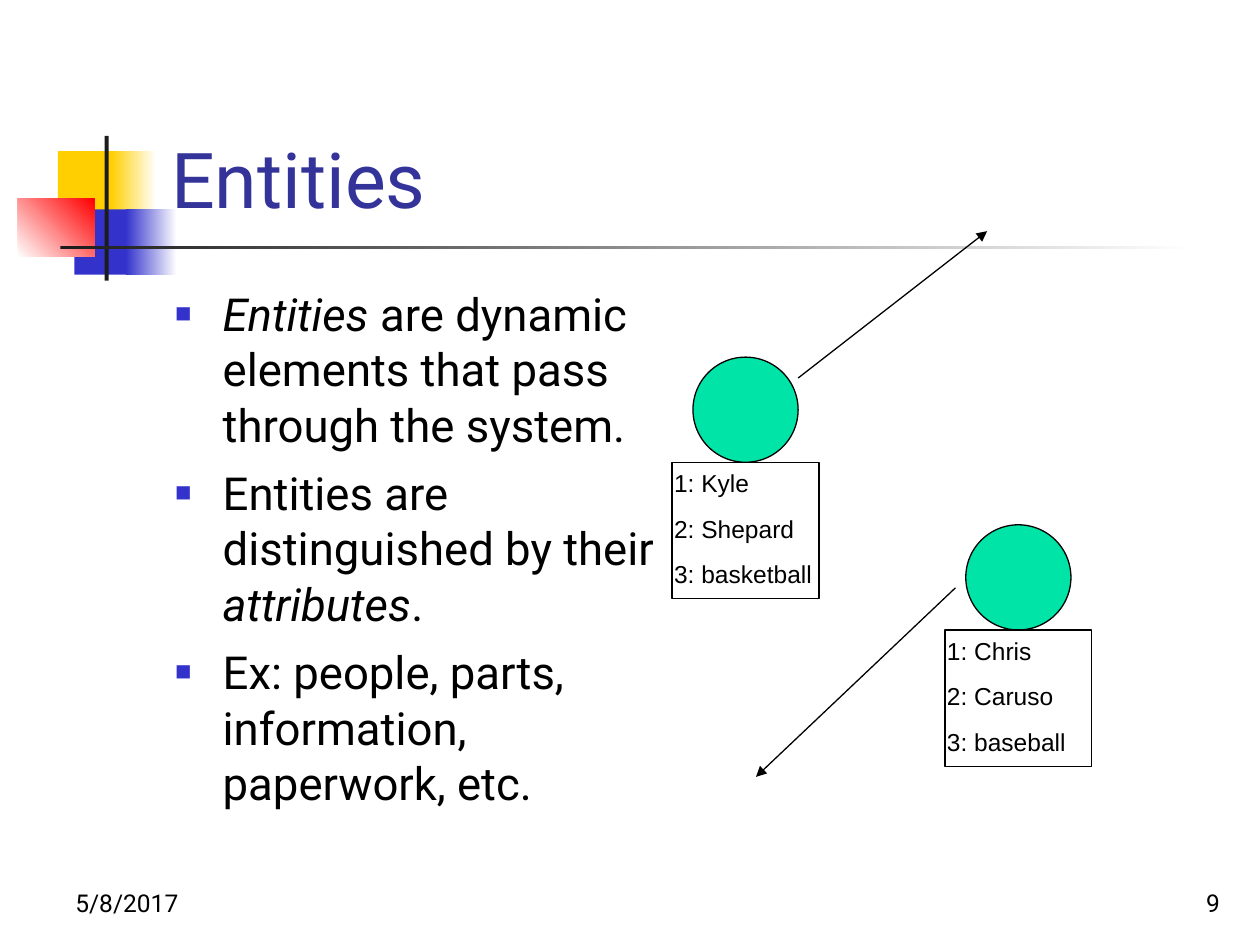
from lxml.etree import SubElement
from pptx import Presentation
from pptx.dml.color import RGBColor
from pptx.enum.shapes import MSO_CONNECTOR, MSO_SHAPE
from pptx.enum.text import MSO_ANCHOR, MSO_AUTO_SIZE, PP_ALIGN
from pptx.oxml.ns import qn
from pptx.util import Cm, Pt

BLACK, DARK, WHITE = "000000", "1C1C1C", "FFFFFF"
GOLD, BLUE, RED, GREEN = "FFCF01", "3333CC", "FF0000", "00E4A8"


def color(code):
    return RGBColor.from_string(code)


def apply(target, values):
    for name, value in values.items():
        setattr(target, name, value)


class Deck:
    """Holds the text style and the slide being drawn."""

    face = "Roboto"
    stroke = Pt(0.75)

    def __init__(self, slide):
        self.slide = slide

    def shape(self, box, fill=None, blend=None, angle=0, line=None, kind=MSO_SHAPE.RECTANGLE):
        """Draw a preset shape; blend is the second colour of a gradient."""
        item = self.slide.shapes.add_shape(kind, *map(Cm, box))
        item.shadow.inherit = False
        if blend:
            item.fill.gradient()
            item.fill.gradient_angle = angle
            for stop, code in zip(item.fill.gradient_stops, (fill, blend)):
                stop.color.rgb = color(code)
        elif fill:
            item.fill.solid()
            item.fill.fore_color.rgb = color(fill)
        else:
            item.fill.background()
        if line:
            item.line.color.rgb = color(line)
            item.line.width = self.stroke
        else:
            item.line.fill.background()

    def text(self, box, paras, size, code=BLACK, face=None, frame=None, para=None, gap=0, mark=None):
        """Write paragraphs, each a list of (words, italic) runs."""
        body = self.slide.shapes.add_textbox(*map(Cm, box)).text_frame
        apply(body, {"word_wrap": True, **(frame or {})})
        for index, runs in enumerate(paras):
            item = body.paragraphs[0] if index == 0 else body.add_paragraph()
            if mark:
                self.bullet(item, mark)
            apply(item, {"space_before": Pt(gap if index else 0), **(para or {})})
            for words, slant in runs:
                run = item.add_run()
                run.text = words
                apply(run.font, {"name": face or self.face, "size": Pt(size), "italic": slant})
                run.font.color.rgb = color(code)

    def bullet(self, item, code):
        props = item._p.get_or_add_pPr()
        props.set("marL", str(Cm(0.96)))
        props.set("indent", str(-Cm(0.96)))
        tint = SubElement(props, qn("a:buClr"))
        SubElement(tint, qn("a:srgbClr"), val=code)
        SubElement(props, qn("a:buSzPct"), val="60000")
        SubElement(props, qn("a:buFont"), typeface="Arial")
        SubElement(props, qn("a:buChar"), char="■")

    def arrow(self, start, end):
        item = self.slide.shapes.add_connector(MSO_CONNECTOR.STRAIGHT, *map(Cm, start + end))
        item.line.color.rgb = color(BLACK)
        item.line.width = self.stroke
        SubElement(item.line._get_or_add_ln(), qn("a:tailEnd"), type="triangle")
        SubElement(item._element.spPr, qn("a:effectLst"))

    def person(self, left, top, facts):
        """Draw a round head above a framed list of numbered facts."""
        size = 2.12
        base = top + size
        self.shape((left, top, size, size), GREEN, line=BLACK, kind=MSO_SHAPE.OVAL)
        lines = [[(f"{num}: {fact}", False)] for num, fact in enumerate(facts, 1)]
        self.text((left - 0.63, base, size + 1.26, 2.67), lines, 14, face="Arial", gap=9,
                  frame={"auto_size": MSO_AUTO_SIZE.SHAPE_TO_FIT_TEXT})
        self.shape((left - 0.42, base, size + 0.84, 2.75), line=BLACK)


def main():
    prs = Presentation()
    apply(prs, {"slide_width": Cm(25.4), "slide_height": Cm(19.05)})
    deck = Deck(prs.slides.add_slide(prs.slide_layouts[6]))

    # Corner blocks and rules
    deck.shape((1.17, 3.05, 1.22, 1.32), GOLD)
    deck.shape((2.24, 3.05, 0.91, 1.32), GOLD, WHITE)
    deck.shape((1.5, 4.22, 1.17, 1.32), BLUE)
    deck.shape((2.54, 4.22, 1.02, 1.32), BLUE, WHITE)
    deck.shape((0.36, 4.01, 1.55, 1.17), WHITE, RED, angle=45)
    deck.shape((2.11, 2.74, 0.08, 2.92), DARK)
    deck.shape((1.22, 4.95, 22.86, 0.08), DARK, WHITE)

    # Footer, title and body
    low = {"vertical_anchor": MSO_ANCHOR.BOTTOM}
    deck.text((1.27, 17.35, 5.28, 1.27), [[("5/8/2017", False)]], 14, frame=low)
    deck.text((19.56, 17.35, 5.28, 1.27), [[("9", False)]], 14, frame=low,
              para={"alignment": PP_ALIGN.RIGHT})
    deck.text((3.2, 0.58, 21.64, 4.06), [[("Entities", False)]], 44, "333399", frame=low)
    points = [
        [("Entities", True), (" are dynamic elements that pass through the system.", False)],
        [("Entities are distinguished by their ", False), ("attributes", True), (".", False)],
        [("Ex: people, parts, information, paperwork, etc.", False)],
    ]
    deck.text((3.28, 5.61, 10.59, 11.43), points, 26, gap=7, mark=BLUE,
              para={"line_spacing": 1.02})

    # Moving entities
    deck.person(13.97, 7.2, ("Kyle", "Shepard", "basketball"))
    deck.person(19.47, 10.58, ("Chris", "Caruso", "baseball"))
    deck.arrow((16.09, 7.62), (19.9, 4.66))
    deck.arrow((19.26, 11.85), (15.24, 15.66))

    prs.save("out.pptx")


if __name__ == "__main__":
    main()
